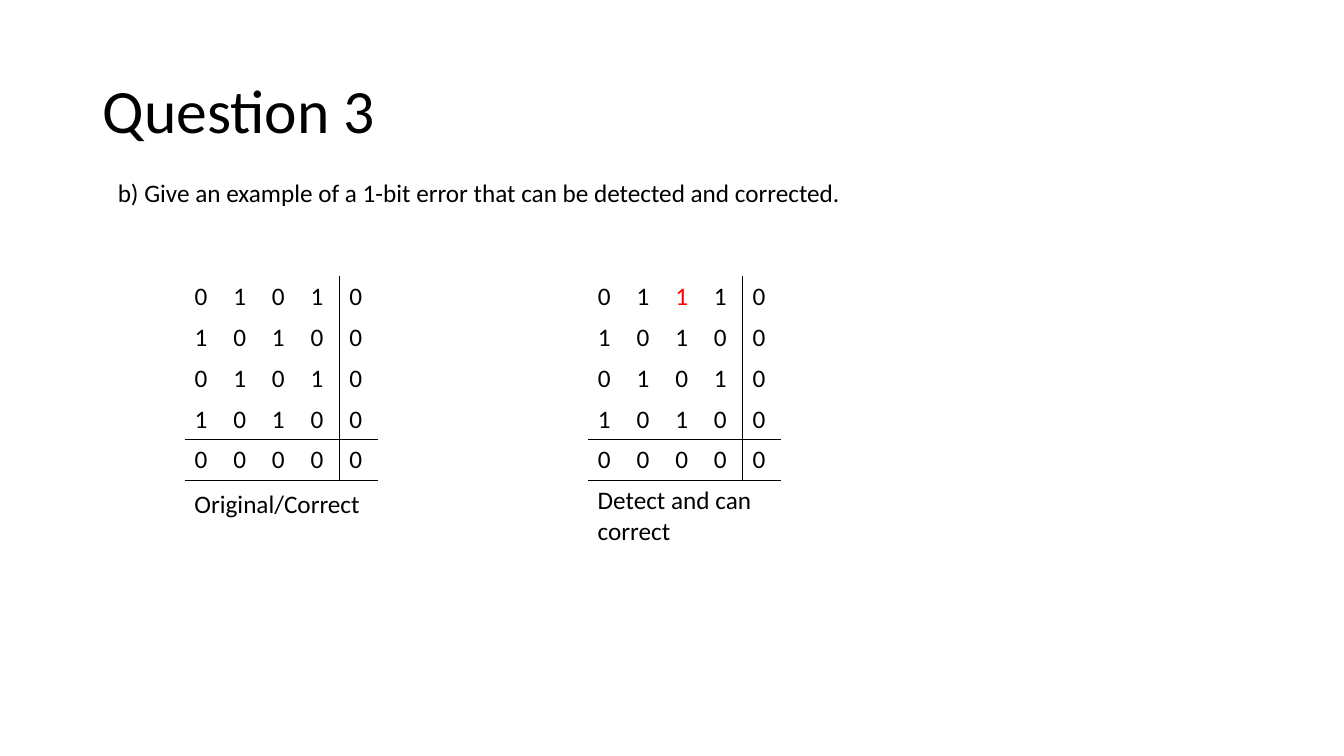
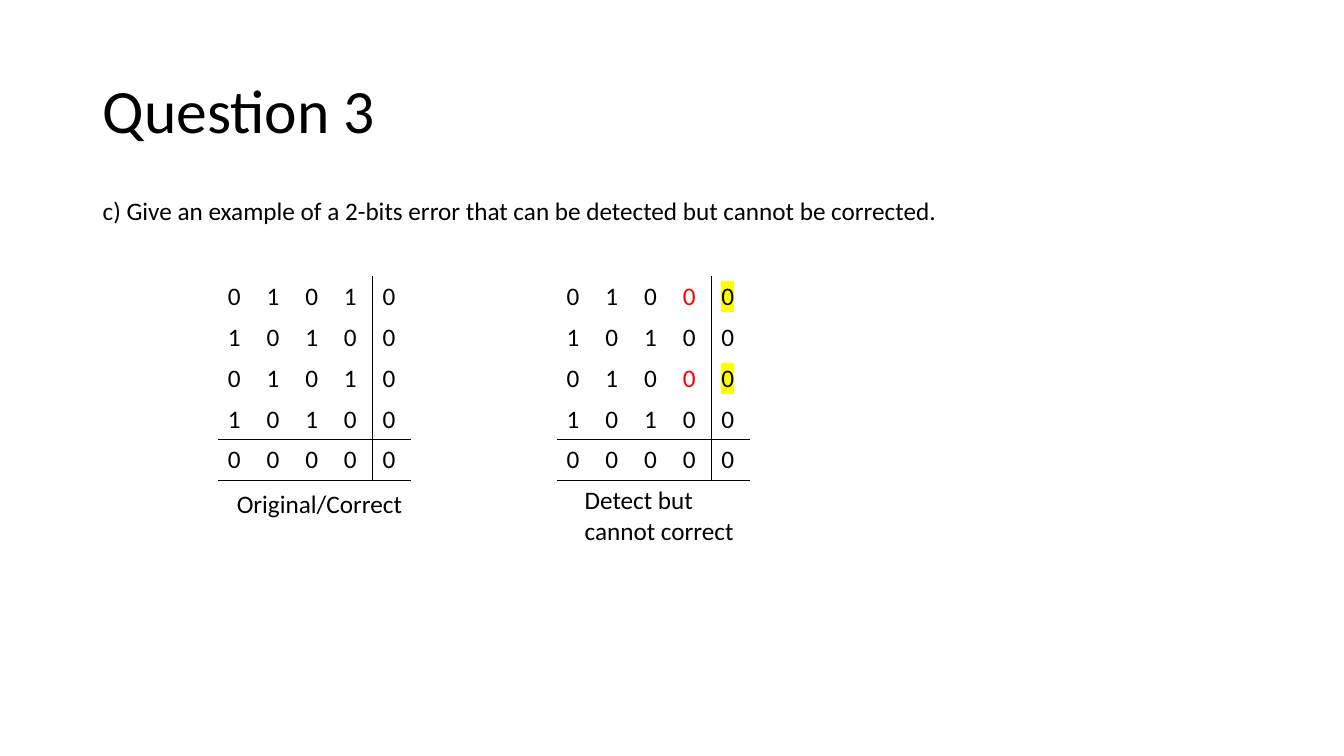
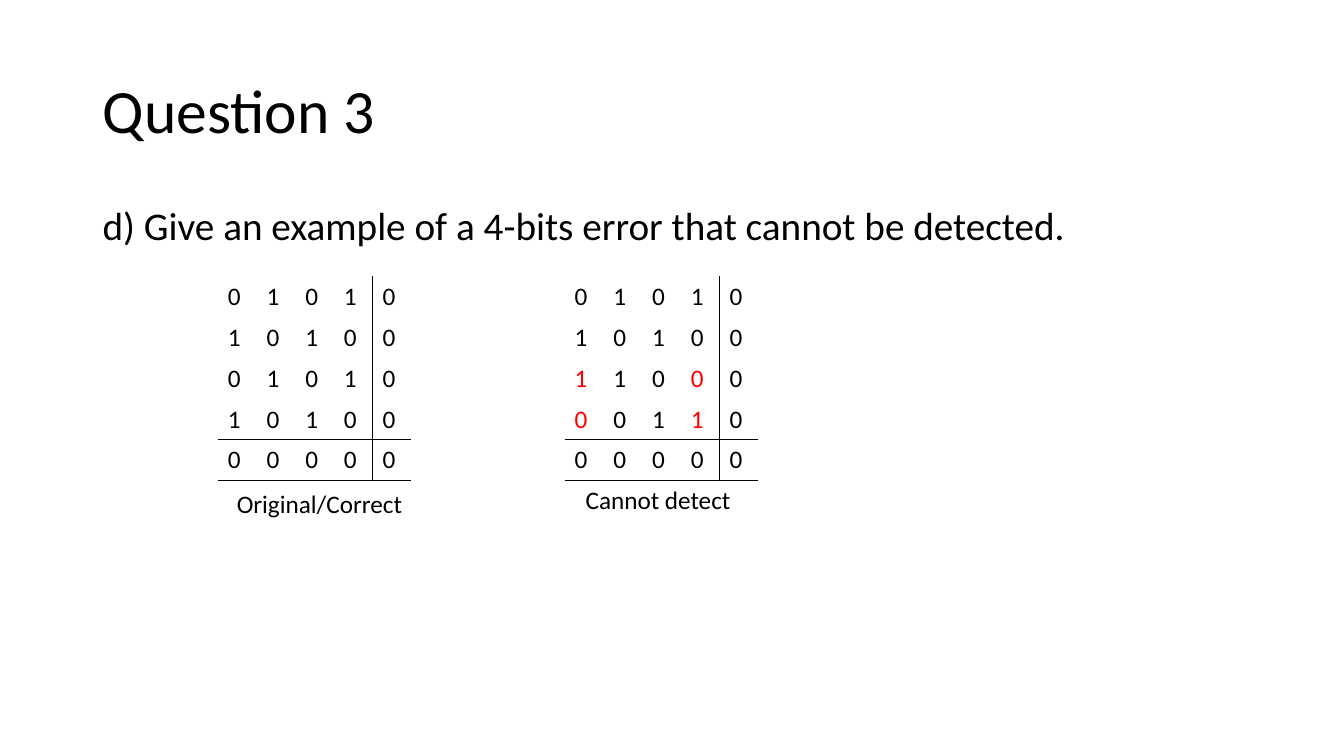
"""Build three slides on two-dimensional parity checks."""
from lxml.etree import SubElement
from pptx import Presentation
from pptx.dml.color import RGBColor
from pptx.enum.text import MSO_ANCHOR as Anchor
from pptx.oxml.ns import qn
from pptx.util import Inches, Pt

FONT = "Calibri"
BLACK, RED, YELLOW = "000000", "FF0000", "FFFF00"
NO_STYLE = "{2D5ABB26-0587-4C30-8999-92F81FD0307C}"
CORRECT = ["01010", "10100", "01010", "10100", "00000"]
SIZE = len(CORRECT)
LAST = SIZE - 1
GRID_TOP, GRID_WIDTH, GRID_HEIGHT = 2.74, 1.92, 2.03


def write(frame, text, size=18, color=BLACK, highlight=None, spacing=None, anchor=Anchor.TOP):
    """Put one formatted paragraph into a text frame."""
    frame.word_wrap = True
    frame.vertical_anchor = anchor
    para = frame.paragraphs[0]
    if spacing:
        para.line_spacing = spacing
    span = para.add_run()
    span.text = text
    span.font.size = Pt(size)
    span.font.color.rgb = RGBColor.from_string(color)
    if highlight:
        mark = SubElement(span.font._element, qn("a:highlight"))
        SubElement(mark, qn("a:srgbClr"), val=highlight)
    span.font.name = FONT


def add_border(cell, side):
    """Draw a thin black line on one side of a table cell."""
    properties = cell._tc.get_or_add_tcPr()
    line = SubElement(properties, qn(f"a:ln{side}"), w=str(Pt(1)))
    fill = SubElement(line, qn("a:solidFill"))
    SubElement(fill, qn("a:srgbClr"), val=BLACK)


questions = [
    {
        "text": "b) Give an example of a 1-bit error that can be detected and corrected.",
        "at": (1.07, 1.71, 11.67, 0.4),
        "format": {},
        "grids": [(1.83, CORRECT, [], []),
                  (5.83, ["01110", *CORRECT[1:]], [(0, 2)], [])],
        "captions": [(1.83, 4.8, 0.4, "Original/Correct"),
                     (5.83, 4.76, 0.71, "Detect and can correct")],
    },
    {
        "text": "c) Give an example of a 2-bits error that can be detected but cannot be corrected.",
        "at": (0.92, 1.89, 9.56, 0.4),
        "format": {},
        "grids": [(2.16, CORRECT, [], []),
                  (5.52, ["01000", "10100", "01000", "10100", "00000"],
                   [(0, 3), (2, 3)], [(0, 4), (2, 4)])],
        "captions": [(2.25, 4.8, 0.4, "Original/Correct"),
                     (5.7, 4.76, 0.71, "Detect but cannot correct")],
    },
    {
        "text": "d) Give an example of a 4-bits error that cannot be detected.",
        "at": (0.92, 2, 11.5, 4.76),
        "format": {"size": 28, "spacing": 0.9},
        "grids": [(2.16, CORRECT, [], []),
                  (5.6, ["01010", "10100", "11000", "00110", "00000"],
                   [(2, 0), (2, 3), (3, 0), (3, 3)], [])],
        "captions": [(2.25, 4.8, 0.4, "Original/Correct"),
                     (5.71, 4.76, 0.4, "Cannot detect")],
    },
]

deck = Presentation()
deck.slide_width, deck.slide_height = Inches(13.33), Inches(7.5)
blank = deck.slide_layouts[6]

for question in questions:
    page = deck.slides.add_slide(blank)
    title = page.shapes.add_textbox(Inches(0.92), Inches(0.4), Inches(11.5), Inches(1.45))
    write(title.text_frame, "Question 3", size=44, spacing=0.9, anchor=Anchor.MIDDLE)
    prompt = page.shapes.add_textbox(*map(Inches, question["at"]))
    write(prompt.text_frame, question["text"], **question["format"])

    for left, bits, errors, failed_checks in question["grids"]:
        holder = page.shapes.add_table(SIZE, SIZE, Inches(left), Inches(GRID_TOP),
                                       Inches(GRID_WIDTH), Inches(GRID_HEIGHT))
        grid = holder.table
        grid.first_row = grid.horz_banding = False
        next(holder.element.iter(qn("a:tableStyleId"))).text = NO_STYLE
        for row, line in enumerate(bits):
            for column, bit in enumerate(line):
                cell = grid.cell(row, column)
                place = (row, column)
                write(cell.text_frame, bit,
                      color=RED if place in errors else BLACK,
                      highlight=YELLOW if place in failed_checks else None)
                sides = {"L": column == LAST, "R": column == LAST - 1,
                         "T": row == LAST, "B": row >= LAST - 1}
                for side, ruled in sides.items():
                    if ruled:
                        add_border(cell, side)
                cell.fill.background()

    for left, top, height, text in question["captions"]:
        caption = page.shapes.add_textbox(Inches(left), Inches(top),
                                          Inches(GRID_WIDTH), Inches(height))
        write(caption.text_frame, text)

deck.save("out.pptx")
